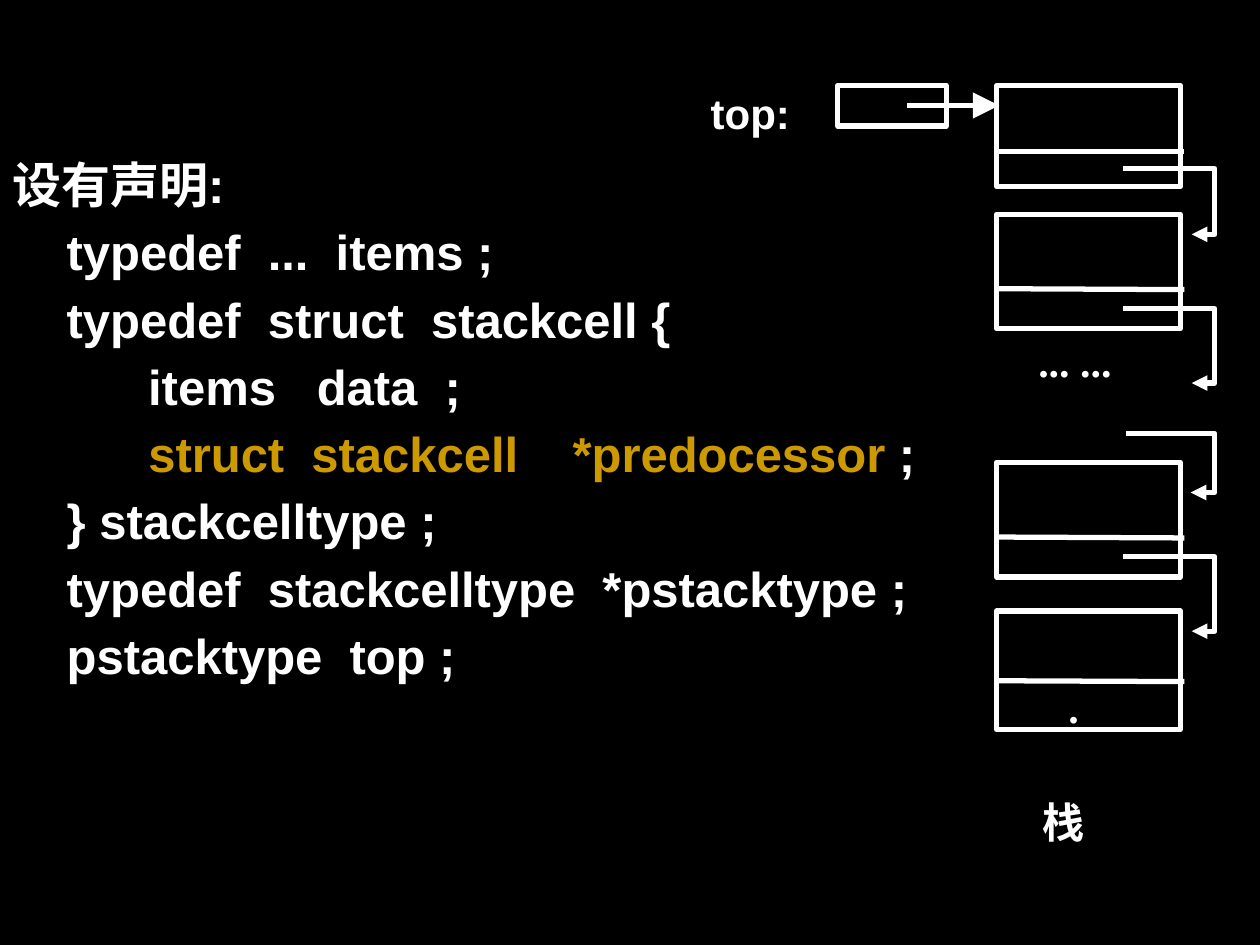
from typing import NamedTuple

from lxml.etree import SubElement
from pptx import Presentation
from pptx.dml.color import RGBColor
from pptx.enum.shapes import MSO_CONNECTOR as Connector, MSO_SHAPE as Shape
from pptx.enum.text import PP_ALIGN as Align
from pptx.oxml.ns import qn
from pptx.util import Pt

WHITE, GOLD, BLACK = "FFFFFF", "CC9900", "000000"
CJK = "Noto Sans CJK SC"
CELL_LEFT, CELL_WIDTH, DIVIDER_END = 569.5, 105, 676.8
LINK_RIGHT = 694.2


class Cell(NamedTuple):
    top: float
    height: float
    divider: float
    divider_drop: float


class Link(NamedTuple):
    start_x: float
    start_y: float
    end_x: float
    end_y: float


class Label(NamedTuple):
    text: str
    box: tuple
    font: str
    align: Align
    inset: tuple


CELLS = [
    Cell(49, 57.6, 86.4, 0),
    Cell(122.4, 65.5, 165, 0.5),
    Cell(264.2, 65.5, 306.9, 0.5),
    Cell(349.2, 67.7, 389, 0.5),
]
LINKS = [
    Link(642, 96.4, 681, 133.9),
    Link(642, 176.4, 681, 218.9),
    Link(643.7, 247.7, 680.4, 281.5),
    Link(642, 318.2, 681, 360.7),
]
TIGHT, ROOMY = (0.7, 0.7), (7.2, 3.6)
LABELS = [
    Label("top:", (405.4, 49, 64.8, 22.3), "Arial", Align.JUSTIFY, TIGHT),
    Label("... ...", (592.6, 190.8, 72, 27.4), "Times New Roman", Align.JUSTIFY, TIGHT),
    Label(".", (609.8, 388.8, 32.4, 18.7), "Times New Roman", Align.JUSTIFY, TIGHT),
    Label("栈", (513.4, 451.4, 188.6, 29.5), CJK, Align.CENTER, ROOMY),
]
DECLARATION = [
    [("设有声明:", WHITE)],
    [("    typedef  ...  items ;", WHITE)],
    [("    typedef  struct  stackcell {", WHITE)],
    [("          items   data  ;", WHITE)],
    [("          ", WHITE), ("struct  stackcell    *predocessor", GOLD), (" ;", WHITE)],
    [("    } stackcelltype ;", WHITE)],
    [("    typedef  stackcelltype  *pstacktype ;", WHITE)],
    [("    pstacktype  top ;", WHITE)],
]


def color(hex_value: str) -> RGBColor:
    return RGBColor.from_string(hex_value)


def add_text(slide, lines: list, box: tuple, *, font: str, size: float,
             align: Align = Align.LEFT, inset: tuple = ROOMY,
             spacing: float = 1.0, before: float = 0) -> None:
    frame = slide.shapes.add_textbox(*map(Pt, box)).text_frame
    frame.word_wrap = True
    frame.margin_left = frame.margin_right = Pt(inset[0])
    frame.margin_top = frame.margin_bottom = Pt(inset[1])
    for index, pieces in enumerate(lines):
        paragraph = frame.add_paragraph() if index else frame.paragraphs[0]
        paragraph.alignment = align
        paragraph.line_spacing = spacing
        paragraph.space_before = Pt(before if index else 0)
        for text, hex_value in pieces:
            run = paragraph.add_run()
            run.text = text
            run.font.name, run.font.size, run.font.bold = font, Pt(size), True
            run.font.color.rgb = color(hex_value)
            SubElement(run.font._element, qn("a:ea"), typeface=CJK)


def set_stroke(outlined) -> None:
    outlined.line.color.rgb = color(WHITE)
    outlined.line.width = Pt(3)


def add_head(outlined, size: str) -> None:
    SubElement(outlined.line._get_or_add_ln(), qn("a:tailEnd"),
               type="triangle", w=size, len=size)


def add_box(slide, left: float, top: float, width: float, height: float) -> None:
    box = slide.shapes.add_shape(Shape.RECTANGLE, Pt(left), Pt(top), Pt(width), Pt(height))
    box.shadow.inherit = False
    box.fill.background()
    set_stroke(box)


def add_line(slide, start: tuple, end: tuple):
    line = slide.shapes.add_connector(Connector.STRAIGHT, *map(Pt, start + end))
    set_stroke(line)
    SubElement(line._element.spPr, qn("a:effectLst"))
    return line


def add_cell(slide, cell: Cell) -> None:
    add_box(slide, CELL_LEFT, cell.top, CELL_WIDTH, cell.height)
    add_line(slide, (CELL_LEFT, cell.divider),
             (DIVIDER_END, cell.divider + cell.divider_drop))


def add_link(slide, link: Link) -> None:
    builder = slide.shapes.build_freeform(Pt(link.start_x), Pt(link.start_y))
    corners = [(LINK_RIGHT, link.start_y), (LINK_RIGHT, link.end_y), (link.end_x, link.end_y)]
    builder.add_line_segments([(Pt(x), Pt(y)) for x, y in corners], close=False)
    elbow = builder.convert_to_shape()
    elbow.shadow.inherit = False
    elbow.fill.background()
    set_stroke(elbow)
    add_head(elbow, "med")


def main() -> None:
    deck = Presentation()
    deck.slide_width, deck.slide_height = Pt(720), Pt(540)
    slide = deck.slides.add_slide(deck.slide_layouts[6])
    slide.background.fill.solid()
    slide.background.fill.fore_color.rgb = color(BLACK)

    add_text(slide, DECLARATION, (0, 88.6, 567.4, 396.7), font="Arial", size=28,
             spacing=0.9, before=8.2)
    add_box(slide, 478.8, 49, 61.9, 23)
    for cell in CELLS:
        add_cell(slide, cell)
    for link in LINKS:
        add_link(slide, link)
    add_head(add_line(slide, (518.4, 60.3), (571, 60.3)), "lg")
    for label in LABELS:
        add_text(slide, [[(label.text, WHITE)]], label.box, font=label.font, size=24,
                 align=label.align, inset=label.inset)
    deck.save("out.pptx")


if __name__ == "__main__":
    main()
